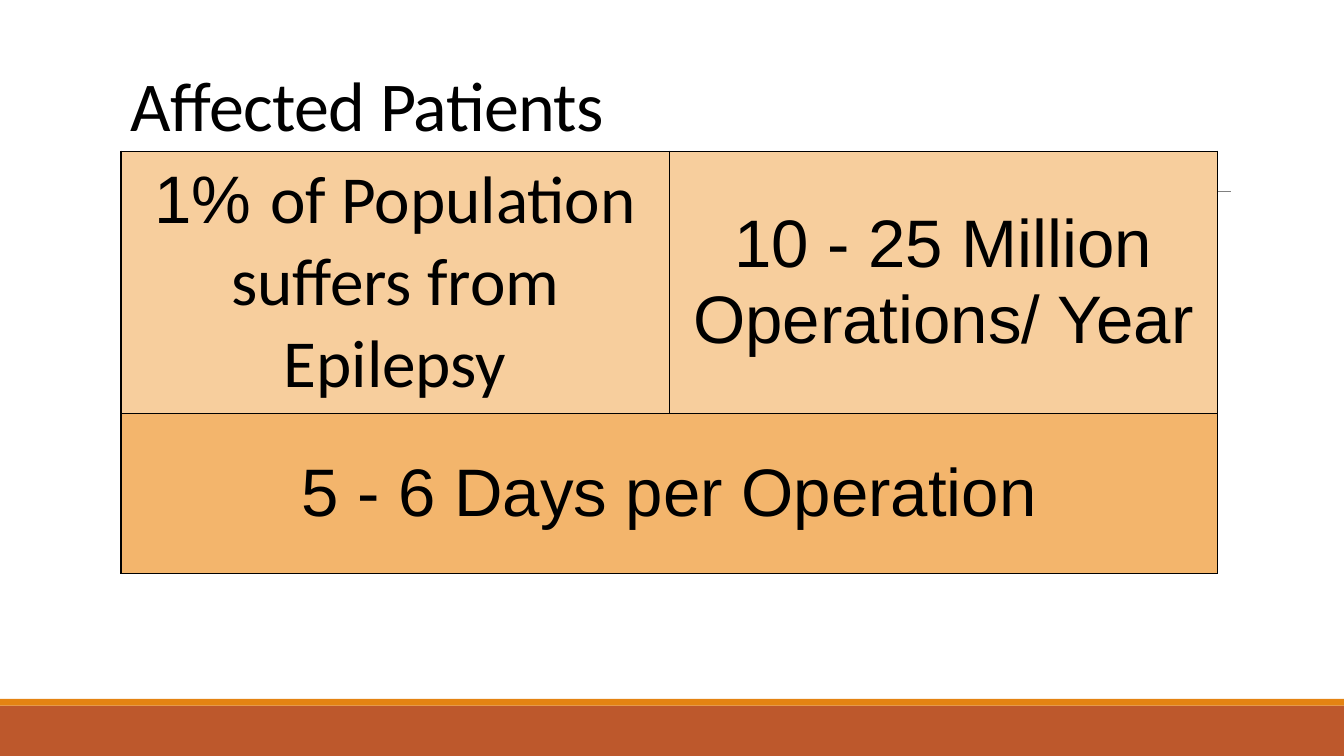
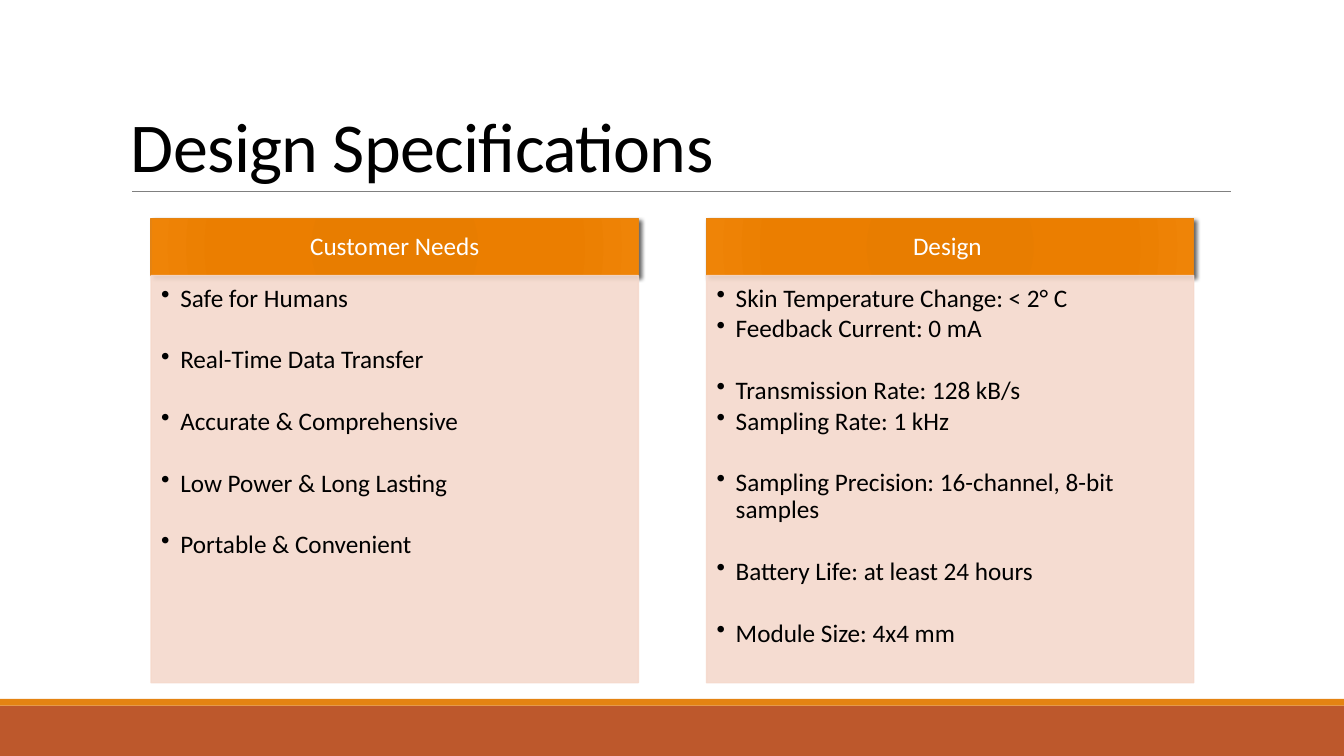
from dataclasses import dataclass

from lxml import etree
from pptx import Presentation
from pptx import util as u
from pptx.dml.color import RGBColor
from pptx.enum import shapes, text
from pptx.oxml import ns

WIDE, HIGH = u.Inches(13.333), u.Inches(7.5)
LEFT, MID = text.PP_ALIGN.LEFT, text.PP_ALIGN.CENTER
TOP, CORE, BASE = (text.MSO_ANCHOR.TOP, text.MSO_ANCHOR.MIDDLE,
                   text.MSO_ANCHOR.BOTTOM)


@dataclass(frozen=True)
class Theme:
    ink: str = "000000"
    pale: str = "FFFFFF"
    rust: str = "BD582C"
    gold: str = "E48312"
    rule: str = "808080"
    blush: str = "F5D9CC"
    peach: str = "F7CE9D"
    amber: str = "F3B56C"
    glow: tuple = ((0, "E57B00"), (34, "E87D00"), (70, "EB7E00"), (100, "EF8407"))
    sans: str = "Calibri"
    plain: str = "Arial"
    title: int = 50
    big: int = 48
    body: int = 18


T = Theme()


# Lengths: percent of the slide's width and height
def across(part):
    return round(WIDE * part / 100)


def down(part):
    return round(HIGH * part / 100)


def place(x, y, w, h):
    return across(x), down(y), across(w), down(h)


def tint(code):
    return RGBColor.from_string(code)


def child(node, tag, **attrs):
    return etree.SubElement(node, ns.qn("a:" + tag),
                            {key: str(val) for key, val in attrs.items()})


# Text: a line is a string or a list of (string, font) runs
def write(frame, lines, size=T.body, font=T.sans, color=T.ink, align=LEFT,
          anchor=TOP, pad=None, lead=None, after=None, gaps=(), bullet=None,
          track=None):
    frame.word_wrap = True
    frame.vertical_anchor = anchor
    if pad:
        (frame.margin_left, frame.margin_top, frame.margin_right,
         frame.margin_bottom) = map(u.Inches, pad)
    for i, line in enumerate(lines):
        para = frame.paragraphs[0] if i == 0 else frame.add_paragraph()
        para.alignment = align
        if lead:
            para.line_spacing = lead
        if after:
            para.space_after = u.Pt(after)
        if i in gaps:
            para.space_before = u.Pt(22.1)
        if bullet:
            props = para._p.get_or_add_pPr()
            props.set("marL", str(u.Inches(0.19)))
            props.set("indent", str(-u.Inches(0.19)))
            child(props, "buChar", char=bullet)
        for words, face in [(line, font)] if isinstance(line, str) else line:
            run = para.add_run()
            run.text = words
            run.font.name, run.font.size = face, u.Pt(size)
            run.font.color.rgb = tint(color)
            if track:
                run._r.get_or_add_rPr().set("spc", str(track))


# Shapes
def block(slide, area, fill, edge=None):
    box = slide.shapes.add_shape(shapes.MSO_SHAPE.RECTANGLE, *place(*area))
    box.shadow.inherit = False
    box.fill.solid()
    box.fill.fore_color.rgb = tint(fill)
    if edge:
        box.line.color.rgb = tint(edge)
        box.line.width = u.Pt(1)
    else:
        box.line.fill.background()
    return box


def fade(box, share):
    for mark in box._element.spPr.iter(ns.qn("a:srgbClr")):
        child(mark, "alpha", val=share * 1000)


def shine(box):
    props = box._element.spPr
    grad = etree.Element(ns.qn("a:gradFill"), rotWithShape="1")
    stops = child(grad, "gsLst")
    for pos, code in T.glow:
        child(child(stops, "gs", pos=pos * 1000), "srgbClr", val=code)
    child(child(grad, "path", path="circle"), "fillToRect",
          l=100000, t=100000, r=100000, b=100000)
    props.replace(props.find(ns.qn("a:solidFill")), grad)


def shade(box):
    list_ = box._element.spPr.find(ns.qn("a:effectLst"))
    drop = child(list_, "outerShdw", blurRad=u.Pt(3), dist=u.Pt(2),
                 dir=45 * 60000, algn="tl", rotWithShape=0)
    child(child(drop, "srgbClr", val=T.ink), "alpha", val=60000)


# Bands, rule and title of every slide
def base(deck, title, anchor, lead):
    slide = deck.slides.add_slide(deck.slide_layouts[6])
    block(slide, (0, 93.33, 100, 6.67), T.rust)
    block(slide, (0, 92.45, 100, 0.88), T.gold)
    rule = slide.shapes.add_connector(
        shapes.MSO_CONNECTOR.STRAIGHT, across(9.83), down(25.33),
        across(91.58), down(25.33))
    rule.line.color.rgb = tint(T.rule)
    rule.line.width = u.Pt(0.5)
    child(rule._element.spPr, "effectLst")
    head = slide.shapes.add_textbox(*place(9, 4.13, 82.5, 21.2))
    write(head.text_frame, [title], size=T.title, anchor=anchor, lead=lead,
          track=-50)
    return slide


# Table
def border(cell):
    props = cell._tc.get_or_add_tcPr()
    for side in ("lnL", "lnR", "lnT", "lnB"):
        edge = child(props, side, w=u.Pt(1))
        child(child(edge, "solidFill"), "srgbClr", val=T.ink)


def facts(slide, rows):
    area = place(9, 20, 81.6, 55.87)
    grid = slide.shapes.add_table(2, 2, *area).table
    grid.first_row = grid.horz_banding = False
    for col in grid.columns:
        col.width = across(40.8)
    for row, tall in zip(grid.rows, (34.67, 21.2)):
        row.height = down(tall)
    for i, fill in enumerate((T.peach, T.amber)):
        for j in range(2):
            cell = grid.cell(i, j)
            border(cell)
            cell.fill.solid()
            cell.fill.fore_color.rgb = tint(fill)
        for j, line in enumerate(rows[i]):
            cell = grid.cell(i, j)
            write(cell.text_frame, [line], size=T.big, font=T.plain, align=MID)
            cell.vertical_anchor = CORE
    grid.cell(1, 0).merge(grid.cell(1, 1))


# Card with a heading and bullets; gaps are the lines that open a group
def card(slide, col, head, lines, gaps):
    x, wide = 11.25 + col * 41.33, 36.25
    top = block(slide, (x, 28.9, wide, 7.55), T.gold, T.gold)
    shine(top)
    shade(top)
    write(top.text_frame, [head], color=T.pale, align=MID, anchor=CORE,
          pad=(0.14, 0.08, 0.14, 0.08), lead=0.9)
    body = block(slide, (x, 36.45, wide, 53.87), T.blush, T.blush)
    fade(body, 90)
    write(body.text_frame, lines, pad=(0.1, 0.1, 0.14, 0.16), lead=0.9,
          after=2.4, gaps=gaps, bullet="•")


def main():
    deck = Presentation()
    deck.slide_width, deck.slide_height = WIDE, HIGH

    slide = base(deck, "Affected Patients", CORE, 0.8)
    facts(slide, [
        [[("1% ", T.plain), ("of Population suffers from Epilepsy", T.sans)],
         "10 - 25 Million Operations/ Year"],
        ["5 - 6 Days per Operation"],
    ])

    slide = base(deck, "Design Specifications", BASE, 0.85)
    card(slide, 0, "Customer Needs", [
        "Safe for Humans",
        "Real-Time Data Transfer",
        "Accurate & Comprehensive",
        "Low Power & Long Lasting",
        "Portable & Convenient",
    ], range(1, 5))
    card(slide, 1, "Design ", [
        "Skin Temperature Change: < 2° C",
        "Feedback Current: 0 mA",
        "Transmission Rate: 128 kB/s",
        "Sampling Rate: 1 kHz",
        "Sampling Precision: 16-channel, 8-bit samples",
        "Battery Life: at least 24 hours",
        "Module Size: 4x4 mm",
    ], (2, 4, 5, 6))

    deck.save("out.pptx")


if __name__ == "__main__":
    main()
